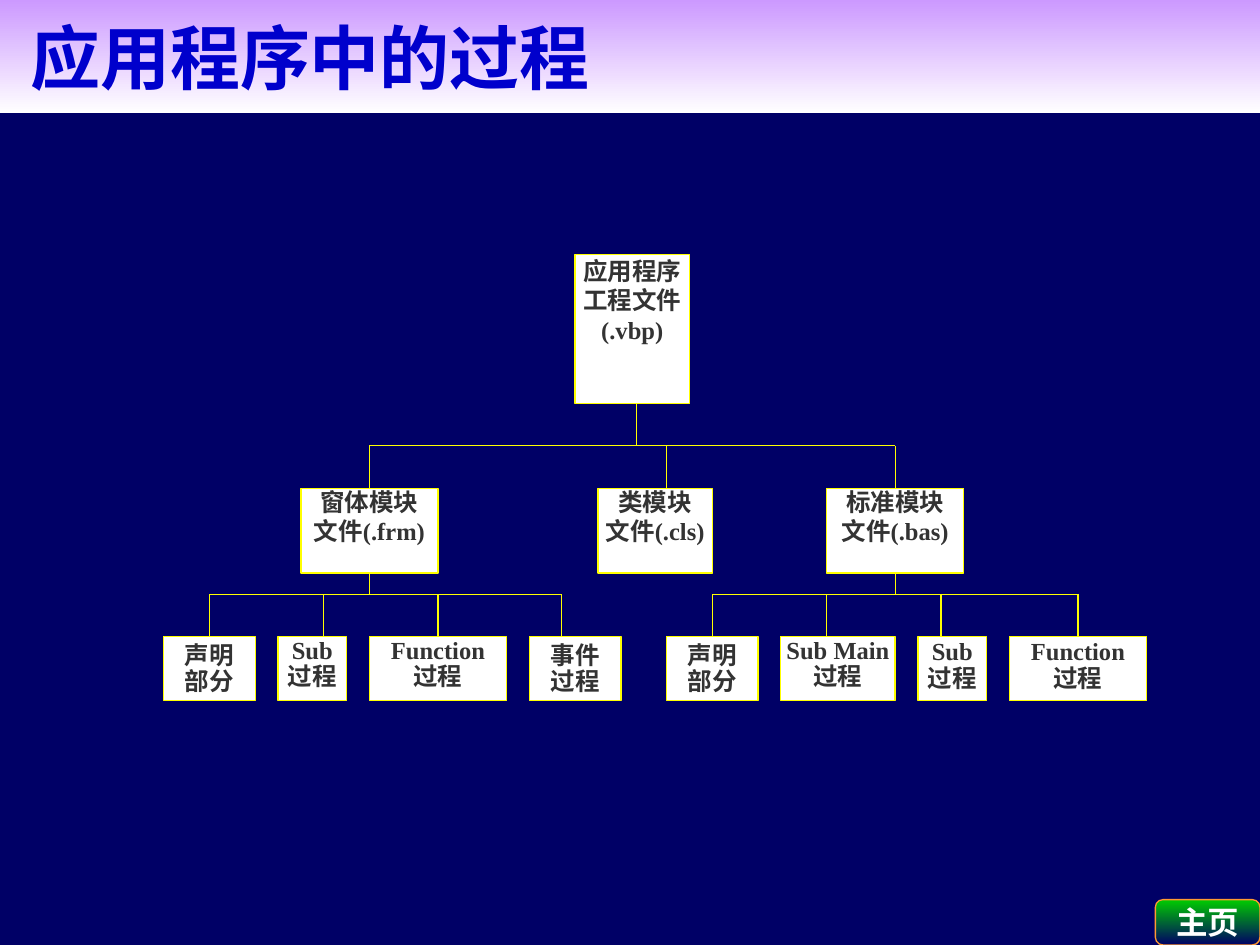
from dataclasses import dataclass

from pptx import Presentation
from pptx.dml.color import RGBColor
from pptx.enum.shapes import MSO_CONNECTOR as Conn, MSO_SHAPE as Shape
from pptx.enum.text import MSO_ANCHOR as Anchor, MSO_AUTO_SIZE as AutoSize, PP_ALIGN as Align
from pptx.oxml.ns import qn
from pptx.util import Inches, Pt


@dataclass(frozen=True)
class Theme:
    font: str = "Times New Roman"
    page: str = "000066"
    box: str = "FFFFFF"
    line: str = "FFFF00"
    text: str = "333333"
    title: str = "0000CC"
    title_fill: tuple[str, str] = ("CC99FF", "FFFFFF")
    button: str = "FFFFFF"
    button_line: str = "FF9933"
    button_fill: tuple[str, str] = ("00CC00", "000066")
    title_size: float = 40
    button_size: float = 18
    box_size: float = 14
    line_width: float = 0.75


@dataclass(frozen=True)
class Box:
    """A tree node; col, row, width and height are counted in grid cells."""
    text: str
    col: float
    row: float
    width: float
    height: float
    spacing: float = 1.0
    top_pad: float = 0.01

    @property
    def centre(self) -> float:
        return self.col + self.width / 2


@dataclass(frozen=True)
class Branch:
    """A parent, the column of its trunk, and its children with their drop columns."""
    parent: Box
    trunk: float
    bus_row: float
    children: tuple[tuple[Box, float], ...]


THEME = Theme()
LEFT, TOP = 1.3, 2.02
COL, ROW = 7.8 / 43, 3.54 / 21


def grid_x(col: float) -> int:
    return Inches(LEFT + col * COL)


def grid_y(row: float) -> int:
    return Inches(TOP + row * ROW)


def module(text: str, col: float, width: float) -> Box:
    return Box(text, col, 11, width, 4, 0.96)


def procedure(text: str, col: float, width: float, top_pad: float = 0.01) -> Box:
    return Box(text, col, 18, width, 3, 0.9, top_pad)


PROJECT = Box("应用程序\n工程文件\n(.vbp)", 18, 0, 5, 7)
FORM = module("窗体模块\n文件(.frm)", 6, 6)
CLASS = module("类模块\n文件(.cls)", 19, 5)
STANDARD = module("标准模块\n文件(.bas)", 29, 6)

BRANCHES = (
    Branch(PROJECT, 20.67, 9, ((FORM, 9), (CLASS, 22), (STANDARD, 32))),
    Branch(FORM, 9, 16, (
        (procedure("声明\n部分", 0, 4, 0.05), 2),
        (procedure("Sub\n过程", 5, 3), 7),
        (procedure("Function\n过程", 9, 6), 12),
        (procedure("事件\n过程", 16, 4, 0.05), 17.4),
    )),
    Branch(STANDARD, 32, 16, (
        (procedure("声明\n部分", 22, 4, 0.05), 24),
        (procedure("Sub Main\n过程", 27, 5), 29),
        (procedure("Sub\n过程", 33, 3, 0.02), 34),
        (procedure("Function\n过程", 37, 6, 0.02), 40),
    )),
)


def format_text(tf, size: float, color: str, align: Align, spacing: float = 1.0) -> None:
    for p in tf.paragraphs:
        p.alignment = align
        p.line_spacing = spacing
        for r in p.runs:
            r.font.name = THEME.font
            r.font.size = Pt(size)
            r.font.bold = True
            r.font.color.rgb = RGBColor.from_string(color)


def fill_downwards(fill, colors: tuple[str, str]) -> None:
    fill.gradient()
    fill.gradient_angle = 270
    for stop, color, position in zip(fill.gradient_stops, colors, (0, 1)):
        stop.color.rgb = RGBColor.from_string(color)
        stop.position = position


def set_line(line, color: str) -> None:
    line.color.rgb = RGBColor.from_string(color)
    line.width = Pt(THEME.line_width)


def draw_box(slide, box: Box):
    sp = slide.shapes.add_shape(Shape.RECTANGLE, grid_x(box.col), grid_y(box.row),
                                Inches(box.width * COL), Inches(box.height * ROW))
    sp.shadow.inherit = False
    sp.fill.solid()
    sp.fill.fore_color.rgb = RGBColor.from_string(THEME.box)
    set_line(sp.line, THEME.line)
    tf = sp.text_frame
    tf.word_wrap = True
    tf.vertical_anchor = Anchor.TOP
    tf.margin_left = tf.margin_right = Inches(0.02)
    tf.margin_top, tf.margin_bottom = Inches(box.top_pad), Inches(0.01)
    tf.text = box.text
    format_text(tf, THEME.box_size, THEME.text, Align.CENTER, box.spacing)
    return sp


def draw_line(slide, start: tuple[float, float], end: tuple[float, float]):
    line = slide.shapes.add_connector(Conn.STRAIGHT, grid_x(start[0]), grid_y(start[1]),
                                      grid_x(end[0]), grid_y(end[1]))
    set_line(line.line, THEME.line)
    sp_pr = line._element.spPr
    sp_pr.append(sp_pr.makeelement(qn("a:effectLst"), {}))
    return line


def draw_branch(slide, branch: Branch, shapes: dict) -> None:
    parent, bus = branch.parent, branch.bus_row
    trunk = draw_line(slide, (branch.trunk, parent.row + parent.height), (branch.trunk, bus))
    if branch.trunk == parent.centre:
        trunk.begin_connect(shapes[parent], 2)
    drops = [drop for _, drop in branch.children]
    draw_line(slide, (min(drops), bus), (max(drops), bus))
    for child, drop in branch.children:
        shapes[child] = draw_box(slide, child)
        line = draw_line(slide, (drop, bus), (drop, child.row))
        if drop == child.centre:
            line.end_connect(shapes[child], 0)


def draw_title(slide, width: int, height: int) -> None:
    title = slide.shapes.title
    title.left, title.top, title.width, title.height = 0, 0, width, int(height * 0.12)
    fill_downwards(title.fill, THEME.title_fill)
    tf = title.text_frame
    tf.text = "应用程序中的过程"
    tf.auto_size = AutoSize.NONE
    tf.vertical_anchor = Anchor.MIDDLE
    tf.margin_left = Inches(0.24)
    format_text(tf, THEME.title_size, THEME.title, Align.LEFT)


def draw_home_button(slide, width: int, height: int) -> None:
    w, h = Inches(0.83), Inches(0.36)
    sp = slide.shapes.add_shape(Shape.ROUNDED_RECTANGLE, width - w, height - h, w, h)
    sp.shadow.inherit = False
    fill_downwards(sp.fill, THEME.button_fill)
    set_line(sp.line, THEME.button_line)
    tf = sp.text_frame
    tf.text = "主页"
    tf.word_wrap = False
    tf.vertical_anchor = Anchor.MIDDLE
    format_text(tf, THEME.button_size, THEME.button, Align.CENTER)


def main() -> None:
    prs = Presentation()
    prs.slide_width, prs.slide_height = Inches(10), Inches(7.5)
    slide = prs.slides.add_slide(prs.slide_layouts[5])
    slide.background.fill.solid()
    slide.background.fill.fore_color.rgb = RGBColor.from_string(THEME.page)
    draw_title(slide, prs.slide_width, prs.slide_height)
    draw_home_button(slide, prs.slide_width, prs.slide_height)
    shapes = {PROJECT: draw_box(slide, PROJECT)}
    for branch in BRANCHES:
        draw_branch(slide, branch, shapes)
    prs.save("out.pptx")


if __name__ == "__main__":
    main()
